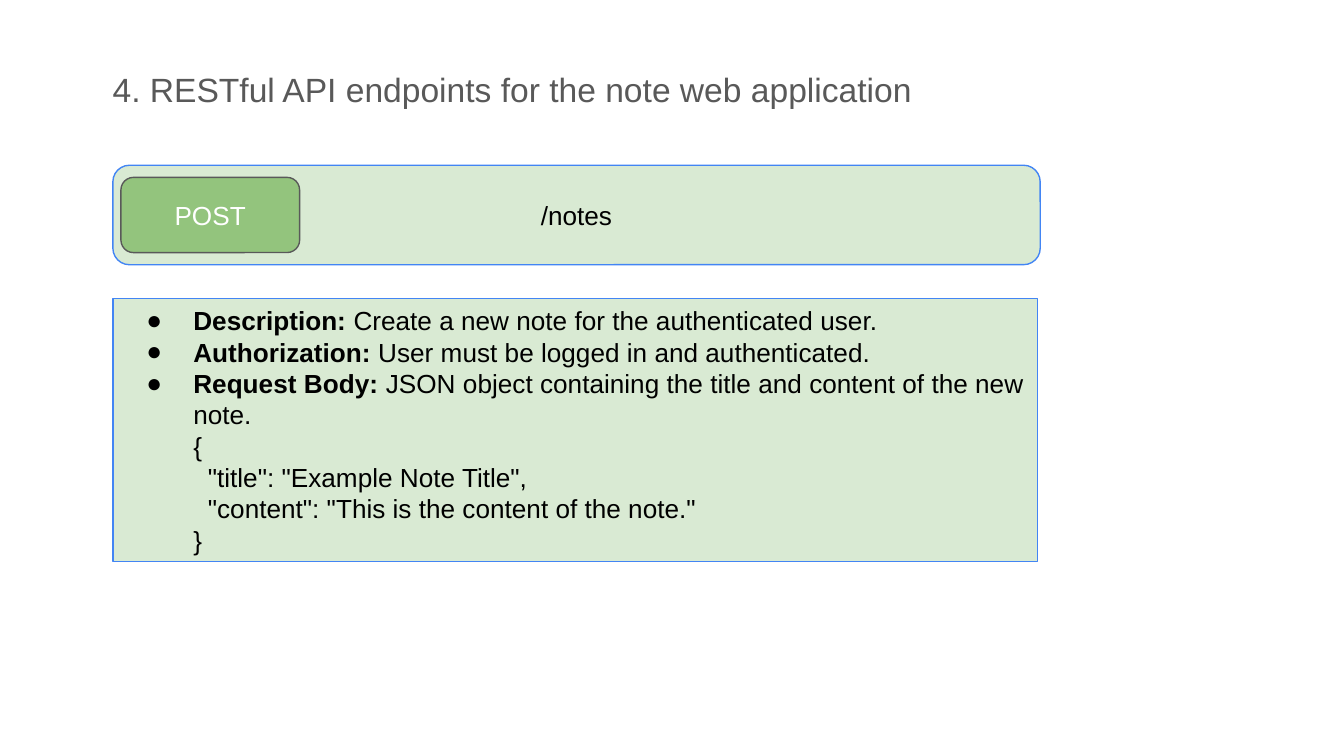
from dataclasses import dataclass

import pptx
import pptx.dml.color
import pptx.enum.shapes
import pptx.enum.text
import pptx.oxml
import pptx.oxml.ns
import pptx.util
from pptx.util import Inches

COLORS = {
    "text": "000000",
    "title": "595959",
    "white": "FFFFFF",
    "panel": "D9EAD3",
    "method": "93C47D",
    "border": "4285F4",
}
FONT = "Arial"
ALIGN = pptx.enum.text.PP_ALIGN
SHAPE = pptx.enum.shapes.MSO_SHAPE


@dataclass
class Box:
    left: float
    top: float
    width: float
    height: float
    kind: int
    fill: str
    line: str


@dataclass
class Detail:
    label: str
    description: str


ENDPOINT = Box(0.84, 1.23, 6.9, 0.74, SHAPE.ROUNDED_RECTANGLE, "panel", "border")
DETAILS_PANEL = Box(0.84, 2.22, 6.88, 1.96, SHAPE.RECTANGLE, "panel", "border")
METHOD = Box(0.9, 1.32, 1.33, 0.56, SHAPE.ROUNDED_RECTANGLE, "method", "title")

DETAILS = [
    Detail("Description: ", "Create a new note for the authenticated user."),
    Detail("Authorization:", " User must be logged in and authenticated."),
    Detail("Request Body: ", "JSON object containing the title and content of the new note."),
]
REQUEST_BODY = [
    "{",
    '  "title": "Example Note Title",',
    '  "content": "This is the content of the note."',
    "}",
]


def color(name: str) -> pptx.dml.color.RGBColor:
    return pptx.dml.color.RGBColor.from_string(COLORS[name])


def add_run(paragraph, text: str, size: float = 14, color_name: str = "text", bold: bool = False) -> None:
    run = paragraph.add_run()
    run.text = text
    run.font.name = FONT
    run.font.size = pptx.util.Pt(size)
    run.font.bold = bold
    run.font.color.rgb = color(color_name)


def prepare_frame(shape):
    frame = shape.text_frame
    frame.word_wrap = True
    frame.margin_left = frame.margin_right = Inches(0.1)
    frame.margin_top = frame.margin_bottom = Inches(0.1)
    return frame


def add_box(slide, box: Box):
    shape = slide.shapes.add_shape(
        box.kind, Inches(box.left), Inches(box.top), Inches(box.width), Inches(box.height)
    )
    shape.shadow.inherit = False
    shape.fill.solid()
    shape.fill.fore_color.rgb = color(box.fill)
    shape.line.color.rgb = color(box.line)
    shape.line.width = pptx.util.Pt(0.75)
    frame = prepare_frame(shape)
    frame.vertical_anchor = pptx.enum.text.MSO_ANCHOR.MIDDLE
    return frame


def add_label(slide, box: Box, text: str, color_name: str) -> None:
    paragraph = add_box(slide, box).paragraphs[0]
    paragraph.alignment = ALIGN.CENTER
    add_run(paragraph, text, color_name=color_name)


def add_title(slide, text: str) -> None:
    shape = slide.shapes.add_textbox(Inches(0.74), Inches(0.41), Inches(6.97), Inches(0.5))
    frame = prepare_frame(shape)
    frame.auto_size = pptx.enum.text.MSO_AUTO_SIZE.SHAPE_TO_FIT_TEXT
    add_run(frame.paragraphs[0], text, 18, "title")


def format_detail(paragraph, bulleted: bool) -> None:
    paragraph.alignment = ALIGN.JUSTIFY
    properties = paragraph._p.get_or_add_pPr()
    properties.set("marL", str(Inches(0.5)))
    properties.set("indent", str(Inches(-0.35) if bulleted else 0))
    namespace = pptx.oxml.ns.nsdecls("a")
    elements = (
        [
            f'<a:buClr {namespace}><a:srgbClr val="{COLORS["text"]}"/></a:buClr>',
            f'<a:buFont {namespace} typeface="{FONT}"/>',
            f'<a:buChar {namespace} char="●"/>',
        ]
        if bulleted
        else [f"<a:buNone {namespace}/>"]
    )
    for element in elements:
        properties.append(pptx.oxml.parse_xml(element))


def add_details(slide, box: Box, details: list[Detail], body: list[str]) -> None:
    frame = add_box(slide, box)
    for index, item in enumerate([*details, *body]):
        paragraph = frame.add_paragraph() if index else frame.paragraphs[0]
        bulleted = isinstance(item, Detail)
        format_detail(paragraph, bulleted)
        if bulleted:
            add_run(paragraph, item.label, bold=True)
            add_run(paragraph, item.description)
        else:
            add_run(paragraph, item)


def main() -> None:
    presentation = pptx.Presentation()
    presentation.slide_width = Inches(10)
    presentation.slide_height = Inches(10 * 9 / 16)
    slide = presentation.slides.add_slide(presentation.slide_layouts[6])
    slide.background.fill.solid()
    slide.background.fill.fore_color.rgb = color("white")
    add_label(slide, ENDPOINT, "/notes", "text")
    add_title(slide, "4. RESTful API endpoints for the note web application")
    add_details(slide, DETAILS_PANEL, DETAILS, REQUEST_BODY)
    add_label(slide, METHOD, "POST", "white")
    presentation.save("out.pptx")


if __name__ == "__main__":
    main()
